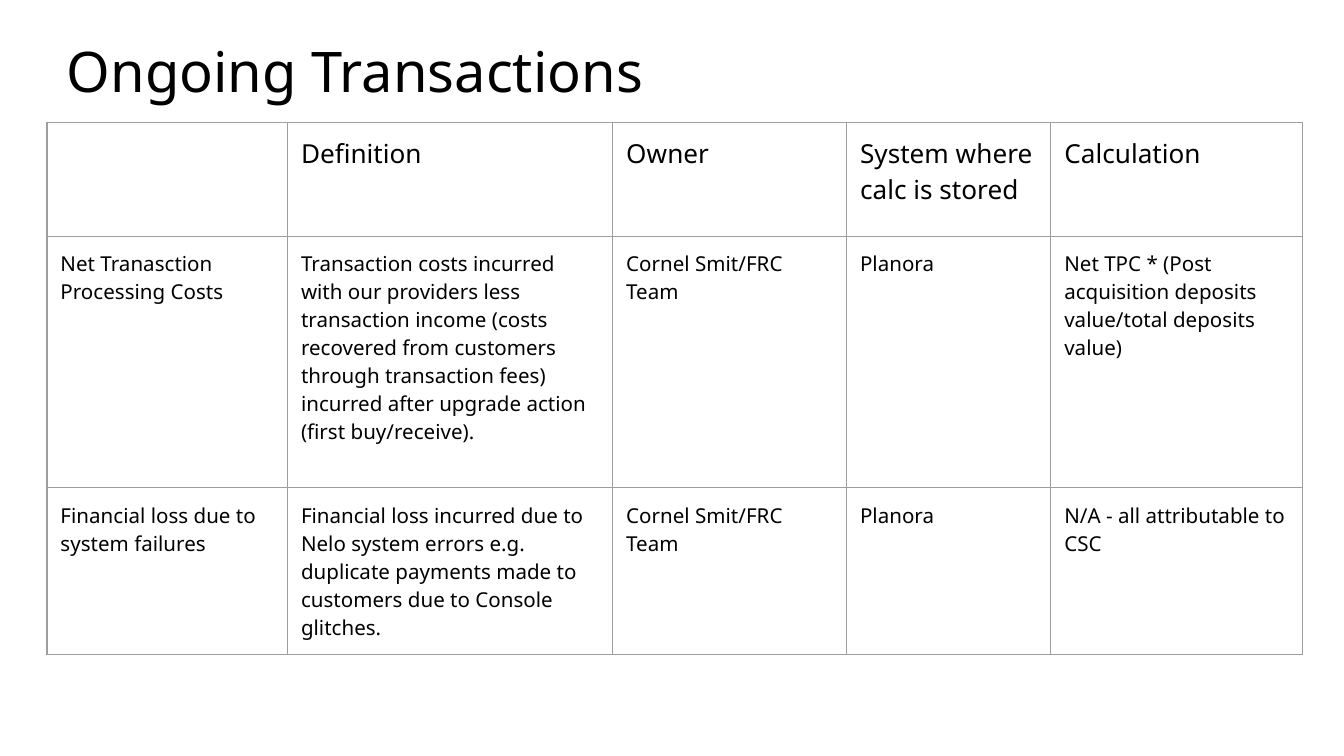
"""Build the Ongoing Transactions slide with its cost definition table."""
from lxml.etree import SubElement
from pptx import Presentation
from pptx.dml.color import RGBColor
from pptx.oxml.ns import qn
from pptx.util import Inches, Pt

TITLE = "Ongoing Transactions"
ROWS = [
    ("", "Definition", "Owner", "System where calc is stored", "Calculation"),
    ("Net Tranasction Processing Costs",
     "Transaction costs incurred with our providers less transaction income "
     "(costs recovered from customers through transaction fees) incurred after "
     "upgrade action (first buy/receive).",
     "Cornel Smit/FRC Team", "Planora",
     "Net TPC * (Post acquisition deposits value/total deposits value)"),
    ("Financial loss due to system failures",
     "Financial loss incurred due to Nelo system errors e.g. duplicate payments "
     "made to customers due to Console glitches.",
     "Cornel Smit/FRC Team", "Planora", "N/A - all attributable to CSC"),
]
COL_WIDTHS = [1.79, 2.42, 1.74, 1.52, 1.87]
ROW_HEIGHTS = [0.85, 1.87, 1.24]
FONT, BLACK, GREY = "Noto Sans", "000000", "9E9E9E"
SLIDE_WIDTH = Inches(10)
SLIDE_HEIGHT = SLIDE_WIDTH * 9 // 16
MARGIN = Inches(0.1)


def color(value):
    return RGBColor.from_string(value)


def write(tf, text, size):
    tf.word_wrap = True
    p = tf.paragraphs[0]
    p.font.size = Pt(size)
    if text:
        r = p.add_run()
        r.text = text
        r.font.name = FONT
        r.font.size = Pt(size)
        r.font.bold = False
        r.font.color.rgb = color(BLACK)


def set_margins(box):
    box.margin_left = box.margin_right = MARGIN
    box.margin_top = box.margin_bottom = MARGIN


def add_borders(cell):
    tc_pr = cell._tc.get_or_add_tcPr()
    for side in ("a:lnL", "a:lnR", "a:lnT", "a:lnB"):
        ln = SubElement(tc_pr, qn(side), w=str(Pt(0.75)))
        fill = SubElement(ln, qn("a:solidFill"))
        SubElement(fill, qn("a:srgbClr"), val=GREY)


def add_cost_table(s):
    table = s.shapes.add_table(
        len(ROWS), len(COL_WIDTHS), Inches(0.35), Inches(0.91),
        Inches(sum(COL_WIDTHS)), Inches(sum(ROW_HEIGHTS))).table
    table.first_row = table.horz_banding = False
    for column, width in zip(table.columns, COL_WIDTHS):
        column.width = Inches(width)
    for i, (row, height) in enumerate(zip(table.rows, ROW_HEIGHTS)):
        row.height = Inches(height)
        for cell, text in zip(row.cells, ROWS[i]):
            set_margins(cell)
            add_borders(cell)
            cell.fill.background()
            write(cell.text_frame, text, 11 if i else 14)


def main():
    prs = Presentation()
    prs.slide_width, prs.slide_height = SLIDE_WIDTH, SLIDE_HEIGHT
    s = prs.slides.add_slide(prs.slide_layouts[6])
    add_cost_table(s)
    title = s.shapes.add_textbox(Inches(0.4), Inches(0.17), Inches(9.18), Inches(0.69))
    set_margins(title.text_frame)
    write(title.text_frame, TITLE, 30)
    prs.save("out.pptx")


if __name__ == "__main__":
    main()
